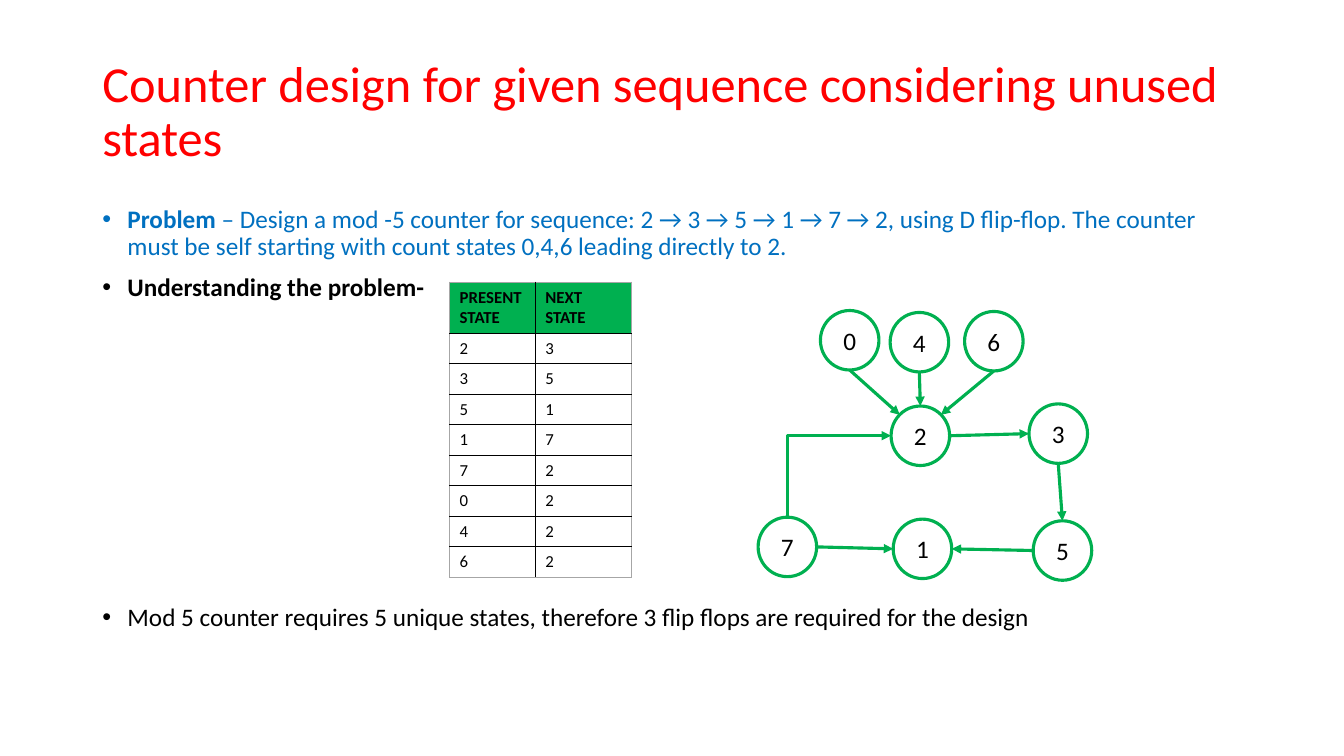
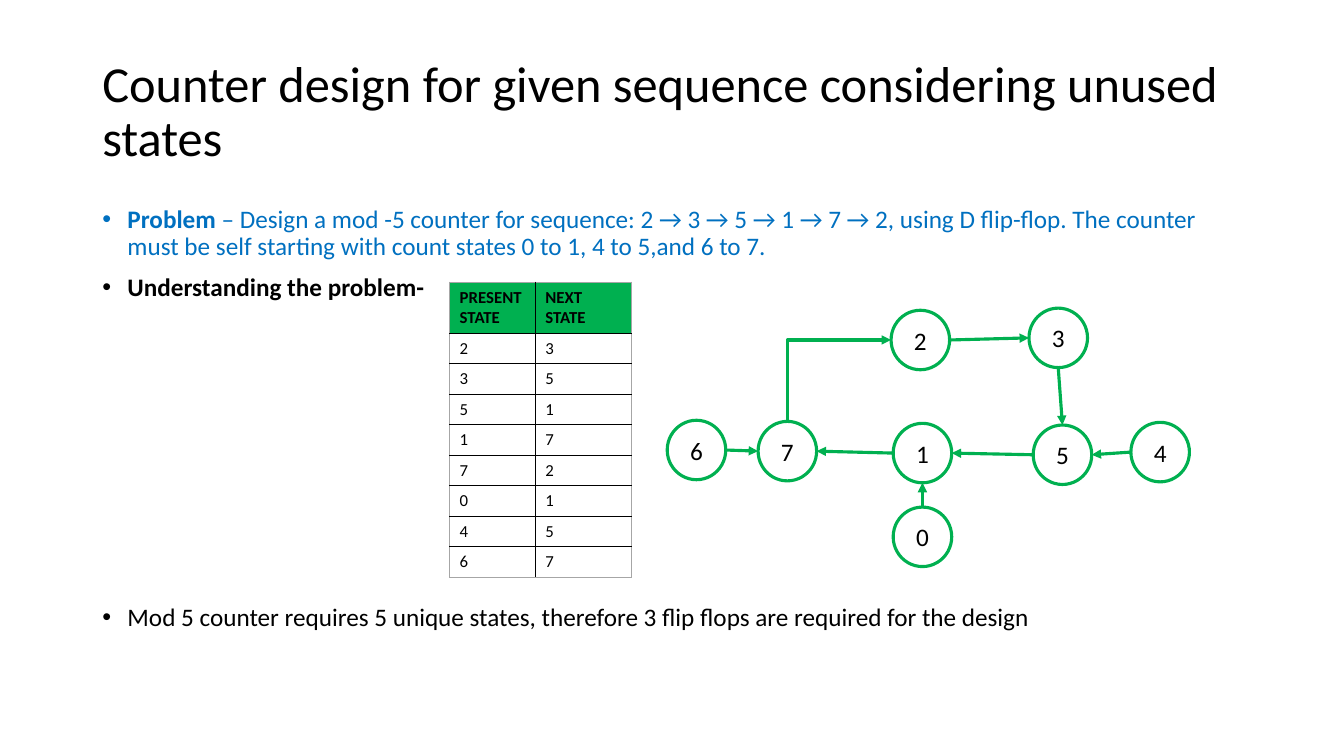
from lxml import etree
from pptx import Presentation
from pptx.dml.color import RGBColor
from pptx.enum.shapes import MSO_CONNECTOR, MSO_SHAPE
from pptx.enum.text import MSO_ANCHOR, PP_ALIGN
from pptx.oxml.ns import qn
from pptx.util import Pt

OVAL = MSO_SHAPE.OVAL
STRAIGHT, ELBOW = MSO_CONNECTOR.STRAIGHT, MSO_CONNECTOR.ELBOW
TOP, MIDDLE = MSO_ANCHOR.TOP, MSO_ANCHOR.MIDDLE
CENTER = PP_ALIGN.CENTER

COLORS = {"black": "000000", "white": "FFFFFF", "red": "FF0000",
          "blue": "0070C0", "green": "00B050", "gray": "A6A6A6"}
FONT = "Calibri"
LEFT, WIDTH = 66, 828
NODE_W, NODE_H = 41.8, 42.5
# Points on a node's outline, as fractions of its width and height
SIDES = {"top": (0.5, 0), "bottom": (0.5, 1), "left": (0, 0.5), "right": (1, 0.5),
         "top left": (0.15, 0.15), "top right": (0.85, 0.15)}

TITLE = "Counter design for given sequence considering unused states"
PROBLEM = (" – Design a mod -5 counter for sequence: 2 → 3 → 5 → 1 → 7 → 2, using D flip-flop. "
           "The counter must be self starting with count states ")
CONCLUSION = "Mod 5 counter requires 5 unique states, therefore 3 flip flops are required for the design"

CYCLE = [(2, 3), (3, 5), (5, 1), (1, 7), (7, 2)]
CYCLE_NODES = {2: (636.5, 290), 3: (735, 288.5), 5: (738, 372), 1: (638, 370.8), 7: (541.5, 369.4)}
CYCLE_ARROWS = [(2, "right", 3, "left"), (3, "bottom", 5, "top"), (5, "left", 1, "right")]

SLIDES = [
    {"title_color": "red",
     "goal": "0,4,6 leading directly to 2.",
     "unused": [(0, 2), (4, 2), (6, 2)],
     "rise": 0,
     "nodes": {0: (586, 221.8), 4: (635.8, 223.2), 6: (689, 222.5)},
     "arrows": [(7, "right", 1, "left"), (0, "bottom", 2, "top left"),
                (4, "bottom", 2, "top"), (6, "bottom", 2, "top right")]},
    {"title_color": "black",
     "goal": "0 to 1, 4 to 5,and 6 to 7.",
     "unused": [(0, 1), (4, 5), (6, 7)],
     "rise": 68.4,
     "nodes": {0: (638, 362.2), 4: (807.8, 301.7), 6: (476.6, 300.2)},
     "arrows": [(1, "left", 7, "right"), (0, "top", 1, "bottom"),
                (4, "left", 5, "right"), (6, "right", 7, "left")]},
]


def rgb(name):
    return RGBColor.from_string(COLORS[name])


class Deck:
    def __init__(self):
        self.prs = Presentation()
        self.prs.slide_width, self.prs.slide_height = Pt(960), Pt(540)
        self.slide = None

    def new_slide(self):
        self.slide = self.prs.slides.add_slide(self.prs.slide_layouts[6])

    def style(self, paragraph, size, color="black", bold=False):
        font = paragraph.font
        font.name, font.size, font.bold = FONT, Pt(size), bold
        font.color.rgb = rgb(color)

    def text_box(self, top, height, anchor=TOP):
        frame = self.slide.shapes.add_textbox(Pt(LEFT), Pt(top), Pt(WIDTH), Pt(height)).text_frame
        frame.word_wrap = True
        frame.vertical_anchor = anchor
        return frame

    def title(self, text, color):
        heading = self.text_box(28.8, 104.4, MIDDLE).paragraphs[0]
        heading.text = text
        heading.line_spacing = 0.9
        self.style(heading, 36, color)

    def bullets(self, top, height, items):
        """Each item is (bold lead, plain rest, colour)."""
        frame = self.text_box(top, height)
        for i, (lead, rest, color) in enumerate(items):
            item = frame.add_paragraph() if i else frame.paragraphs[0]
            props = item._p.get_or_add_pPr()
            props.set("marL", str(Pt(18)))
            props.set("indent", str(-Pt(18)))
            etree.SubElement(props, qn("a:buFont"), typeface="Arial")
            etree.SubElement(props, qn("a:buChar"), char="•")
            item.line_spacing = 0.9
            if i:
                item.space_before = Pt(10)
            self.style(item, 18, color)
            if lead:
                run = item.add_run()
                run.text = lead
                run.font.bold = True
            if rest:
                item.add_run().text = rest

    def cell_border(self, cell, edge, color):
        line = etree.SubElement(cell._tc.get_or_add_tcPr(), qn("a:" + edge), w=str(Pt(1)))
        fill = etree.SubElement(line, qn("a:solidFill"))
        etree.SubElement(fill, qn("a:srgbClr"), val=COLORS[color])

    def state_table(self, transitions):
        rows = [("PRESENT\nSTATE", "NEXT\nSTATE")] + transitions
        widths, heights = [61.2, 68.4], [36.4] + [21.8] * len(transitions)
        table = self.slide.shapes.add_table(len(rows), 2, Pt(321.2), Pt(201.6),
                                            Pt(sum(widths)), Pt(sum(heights))).table
        table.first_row = table.horz_banding = False
        for column, width in zip(table.columns, widths):
            column.width = Pt(width)
        for r, (row, height) in enumerate(zip(rows, heights)):
            table.rows[r].height = Pt(height)
            for c, value in enumerate(row):
                cell = table.cell(r, c)
                outer = {"lnL": c == 0, "lnR": c == 1, "lnT": r == 0, "lnB": r == len(rows) - 1}
                for edge, is_outer in outer.items():
                    self.cell_border(cell, edge, "gray" if is_outer else "black")
                cell.fill.solid()
                cell.fill.fore_color.rgb = rgb("white" if r else "green")
                cell.text = str(value)
                for paragraph in cell.text_frame.paragraphs:
                    self.style(paragraph, 12, bold=r == 0)

    def node(self, state, left, top):
        circle = self.slide.shapes.add_shape(OVAL, Pt(left), Pt(top), Pt(NODE_W), Pt(NODE_H))
        circle.shadow.inherit = False
        circle.fill.background()
        circle.line.color.rgb = rgb("green")
        circle.line.width = Pt(2.25)
        frame = circle.text_frame
        frame.word_wrap = False
        frame.vertical_anchor = MIDDLE
        frame.margin_left = frame.margin_right = frame.margin_top = frame.margin_bottom = 0
        label = frame.paragraphs[0]
        label.text = str(state)
        label.alignment = CENTER
        self.style(label, 18)

    def arrow(self, start, end, kind=STRAIGHT):
        """Draw an arrow; an elbow leaves vertically and arrives horizontally."""
        link = self.slide.shapes.add_connector(kind, *(Pt(v) for v in start + end))
        link.line.color.rgb = rgb("green")
        link.line.width = Pt(2.25)
        props = link._element.spPr
        etree.SubElement(props.find(qn("a:ln")), qn("a:tailEnd"), type="triangle")
        etree.SubElement(props, qn("a:effectLst"))
        if kind == ELBOW:
            guides = props.find(qn("a:prstGeom")).find(qn("a:avLst"))
            etree.SubElement(guides, qn("a:gd"), name="adj1", fmla="val 0")

    def state_diagram(self, nodes, arrows):
        def at(state, side):
            (left, top), (fx, fy) = nodes[state], SIDES[side]
            return left + fx * NODE_W, top + fy * NODE_H

        for state, (left, top) in nodes.items():
            self.node(state, left, top)
        for source, exit_side, target, entry_side in arrows:
            self.arrow(at(source, exit_side), at(target, entry_side))
        self.arrow(at(7, "top"), at(2, "left"), ELBOW)


def main():
    deck = Deck()
    for content in SLIDES:
        deck.new_slide()
        deck.title(TITLE, content["title_color"])
        deck.bullets(144, 80, [("Problem", PROBLEM + content["goal"], "blue"),
                               ("Understanding the problem-", "", "black")])
        deck.bullets(428.4, 30, [("", CONCLUSION, "black")])
        deck.state_table(CYCLE + content["unused"])
        cycle = {state: (x, y - content["rise"]) for state, (x, y) in CYCLE_NODES.items()}
        deck.state_diagram({**cycle, **content["nodes"]}, CYCLE_ARROWS + content["arrows"])
    deck.prs.save("out.pptx")


if __name__ == "__main__":
    main()
